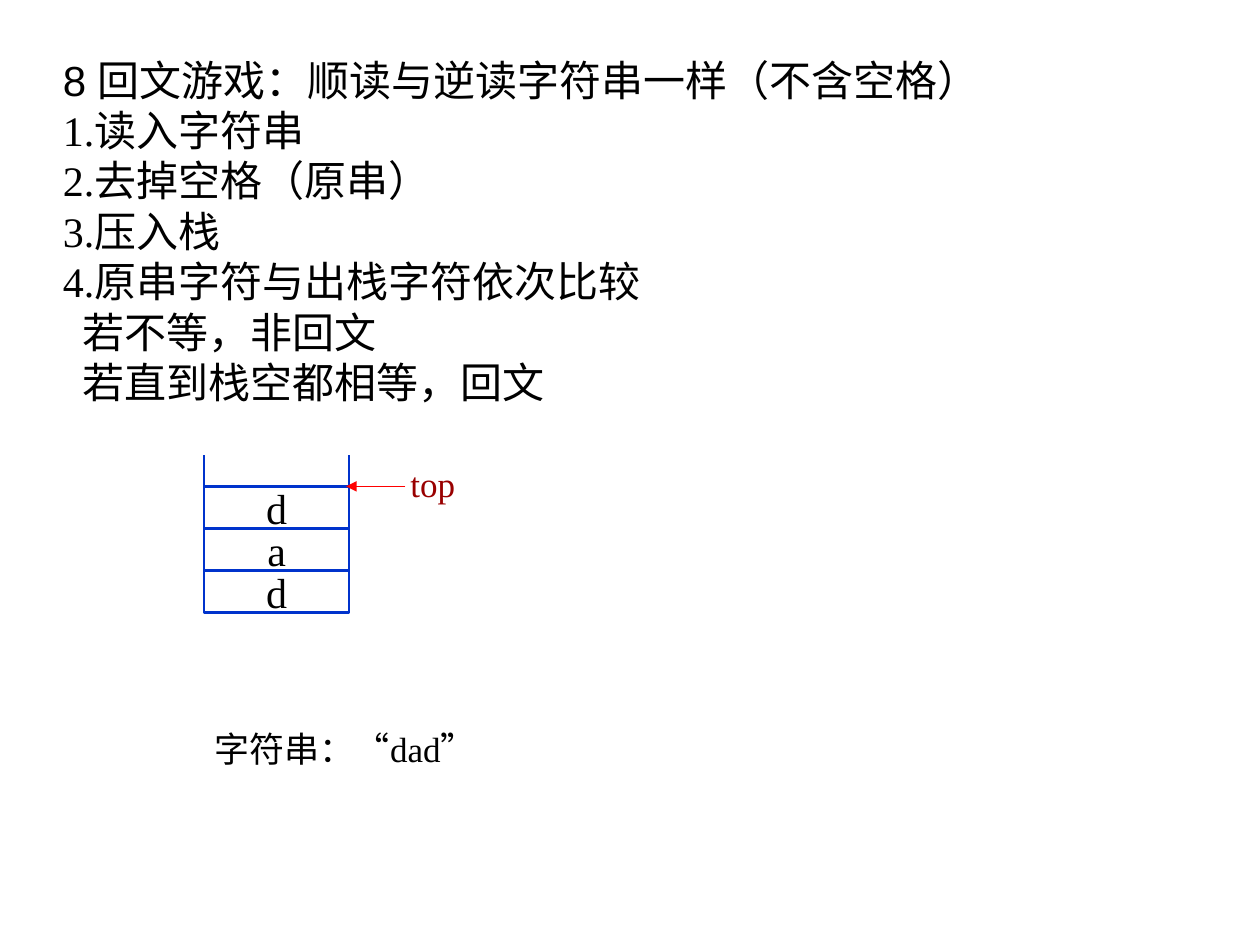
from dataclasses import dataclass

from lxml import etree
from pptx import Presentation
from pptx.dml.color import RGBColor
from pptx.enum.shapes import MSO_CONNECTOR, MSO_SHAPE
from pptx.enum.text import MSO_ANCHOR, MSO_AUTO_SIZE, PP_ALIGN
from pptx.oxml.ns import qn
from pptx.util import Inches, Pt

STRAIGHT, RECTANGLE = MSO_CONNECTOR.STRAIGHT, MSO_SHAPE.RECTANGLE
MIDDLE, GROW = MSO_ANCHOR.MIDDLE, MSO_AUTO_SIZE.SHAPE_TO_FIT_TEXT
LEFT, CENTER = PP_ALIGN.LEFT, PP_ALIGN.CENTER


@dataclass(frozen=True)
class Theme:
    ink: str = "000000"
    paper: str = "FFFFFF"
    stack: str = "0033CC"
    pointer: str = "FF0000"
    pointer_label: str = "990000"
    serif: str = "Times New Roman"
    sans: str = "Arial"
    body: int = 24
    caption: int = 20
    stack_line: float = 1.5
    pointer_line: float = 0.75


@dataclass(frozen=True)
class Grid:
    """Stack cells: column 0 is the left wall, row 0 the top of the stack."""
    left: float = 1.62
    top: float = 3.86
    width: float = 1.15
    height: float = 1 / 3

    def x(self, column: float) -> int:
        return Inches(self.left + column * self.width)

    def y(self, row: float) -> int:
        return Inches(self.top + row * self.height)


@dataclass(frozen=True)
class Line:
    text: str
    font: str
    size: int
    color: str
    align: PP_ALIGN = CENTER
    indent: float = 0


@dataclass(frozen=True)
class Label:
    left: float
    top: float
    width: float
    height: float
    lines: tuple[Line, ...]
    side_inset: float = 0


@dataclass(frozen=True)
class Rule:
    start: tuple[float, float]
    end: tuple[float, float]
    color: str
    width: float
    arrow: bool = False


THEME = Theme()
GRID = Grid()
STACK = "dad"
WALL_RISE = -0.75

# Algorithm text: heading, numbered steps, indented outcomes
HEADING = "8 回文游戏：顺读与逆读字符串一样（不含空格）"
STEPS = ("1.读入字符串", "2.去掉空格（原串）", "3.压入栈", "4.原串字符与出栈字符依次比较")
OUTCOMES = ("若不等，非回文", "若直到栈空都相等，回文")


def body_line(text: str, font: str = THEME.serif, indent: float = 0) -> Line:
    return Line(text, font, THEME.body, THEME.ink, LEFT, indent)


ALGORITHM = (
    body_line(HEADING, THEME.sans),
    *(body_line(step) for step in STEPS),
    *(body_line(outcome, indent=0.16) for outcome in OUTCOMES),
)
TOP_LABEL = Line("top", THEME.serif, THEME.caption, THEME.pointer_label)
INPUT_LABEL = Line("字符串：“dad”", THEME.serif, THEME.caption, THEME.ink)

# Centred one-line labels have no side inset, so their text has room to spare
LABELS = (
    Label(3.16, 3.62, 0.55, 0.44, (TOP_LABEL,)),
    Label(0.4, 0.38, 9.04, 2.9, ALGORITHM, side_inset=0.1),
    Label(1.54, 5.72, 2.4, 0.44, (INPUT_LABEL,)),
)
WALLS = tuple(
    Rule((column, len(STACK)), (column, WALL_RISE), THEME.stack, THEME.stack_line)
    for column in (0, 1)
)
POINTER = Rule((1.39, 0), (0.98, 0), THEME.pointer, THEME.pointer_line, arrow=True)


def write(frame, lines: tuple[Line, ...], side_inset: float = 0) -> None:
    frame_format = {
        "word_wrap": True,
        "vertical_anchor": MIDDLE,
        "margin_left": Inches(side_inset),
        "margin_right": Inches(side_inset),
    }
    for name, value in frame_format.items():
        setattr(frame, name, value)
    for index, line in enumerate(lines):
        paragraph = frame.add_paragraph() if index else frame.paragraphs[0]
        paragraph.alignment = line.align
        if line.indent:
            paragraph._p.get_or_add_pPr().set("marL", str(Inches(line.indent)))
        run = paragraph.add_run()
        run.text = line.text
        for name, value in {"name": line.font, "size": Pt(line.size)}.items():
            setattr(run.font, name, value)
        run.font.color.rgb = RGBColor.from_string(line.color)


def draw_rule(slide, rule: Rule) -> None:
    (x1, y1), (x2, y2) = rule.start, rule.end
    connector = slide.shapes.add_connector(
        STRAIGHT, GRID.x(x1), GRID.y(y1), GRID.x(x2), GRID.y(y2))
    connector.line.color.rgb = RGBColor.from_string(rule.color)
    connector.line.width = Pt(rule.width)
    if rule.arrow:
        outline = connector.line._get_or_add_ln()
        etree.SubElement(outline, qn("a:tailEnd"), type="triangle")
    etree.SubElement(connector._element.spPr, qn("a:effectLst"))


def draw_cell(slide, row: int, letter: str) -> None:
    cell = slide.shapes.add_shape(
        RECTANGLE, GRID.x(0), GRID.y(row), Inches(GRID.width), Inches(GRID.height))
    cell.shadow.inherit = False
    cell.fill.solid()
    cell.fill.fore_color.rgb = RGBColor.from_string(THEME.paper)
    cell.line.color.rgb = RGBColor.from_string(THEME.stack)
    cell.line.width = Pt(THEME.stack_line)
    write(cell.text_frame, (Line(letter, THEME.serif, THEME.body, THEME.ink),))


def draw_label(slide, label: Label) -> None:
    place = (label.left, label.top, label.width, label.height)
    frame = slide.shapes.add_textbox(*map(Inches, place)).text_frame
    write(frame, label.lines, label.side_inset)
    frame.auto_size = GROW


def main() -> None:
    deck = Presentation()
    deck.slide_width, deck.slide_height = Inches(10), Inches(7.5)
    slide = deck.slides.add_slide(deck.slide_layouts[6])

    # Stack: open walls, then one cell per letter, bottom first
    for wall in WALLS:
        draw_rule(slide, wall)
    for row, letter in reversed(tuple(enumerate(reversed(STACK)))):
        draw_cell(slide, row, letter)

    # Top pointer and texts
    draw_rule(slide, POINTER)
    for label in LABELS:
        draw_label(slide, label)

    deck.save("out.pptx")


if __name__ == "__main__":
    main()
